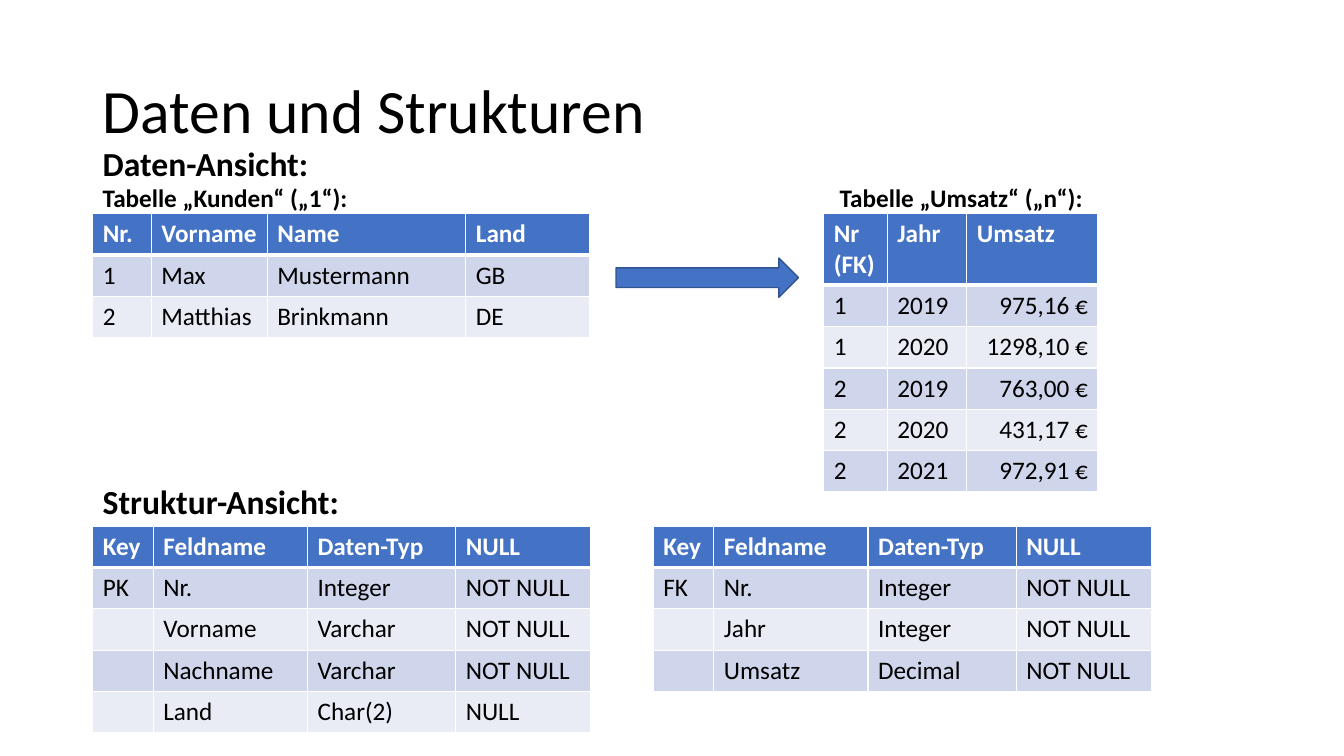
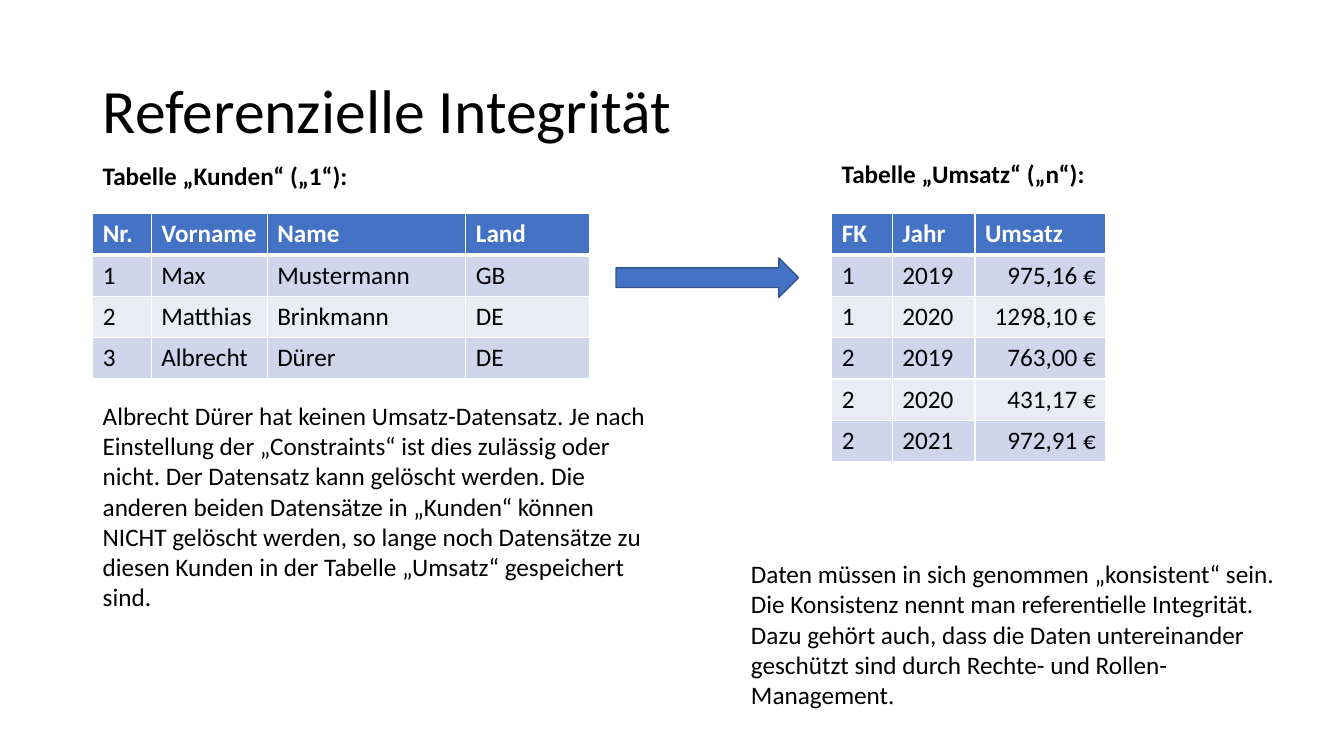
from lxml import etree
from pptx import Presentation
from pptx import util as u
from pptx.dml.color import RGBColor
from pptx.enum import shapes, text
from pptx.oxml import ns

BLACK = RGBColor(0x00, 0x00, 0x00)
WHITE = RGBColor(0xFF, 0xFF, 0xFF)
BLUE = RGBColor(0x44, 0x72, 0xC4)
DARK_BLUE = RGBColor(0x32, 0x54, 0x91)
BAND_DARK = RGBColor(0xCF, 0xD5, 0xEA)
BAND_LIGHT = RGBColor(0xE9, 0xEB, 0xF5)

FONT = "Calibri"
BODY_SIZE = 18
HEADING_SIZE = 24
TITLE_SIZE = 44
LEFT = 0.92
DATA_TOP = 2.12
STRUCTURE_TOP = 5.22
ROW_HEIGHT = 0.41

CUSTOMER_COLUMNS = [0.58, 1.15, 1.97, 1.23]
STRUCTURE_COLUMNS = [0.6, 1.53, 1.47, 1.34]
CUSTOMER_LABEL = "Tabelle „Kunden“ („1“):"
SALES_LABEL = "Tabelle „Umsatz“ („n“):"

CUSTOMERS = [
    ["Nr.", "Vorname", "Name", "Land"],
    ["1", "Max", "Mustermann", "GB"],
    ["2", "Matthias", "Brinkmann", "DE"],
]
ALBRECHT = ["3", "Albrecht", "Dürer", "DE"]
SALES = [
    ["1", "2019", "975,16 €"],
    ["1", "2020", "1298,10 €"],
    ["2", "2019", "763,00 €"],
    ["2", "2020", "431,17 €"],
    ["2", "2021", "972,91 €"],
]
STRUCTURE_HEADER = ["Key", "Feldname", "Daten-Typ", "NULL"]
CUSTOMER_FIELDS = [
    STRUCTURE_HEADER,
    ["PK", "Nr.", "Integer", "NOT NULL"],
    ["", "Vorname", "Varchar", "NOT NULL"],
    ["", "Nachname", "Varchar", "NOT NULL"],
    ["", "Land", "Char(2)", "NULL"],
]
SALES_FIELDS = [
    STRUCTURE_HEADER,
    ["FK", "Nr.", "Integer", "NOT NULL"],
    ["", "Jahr", "Integer", "NOT NULL"],
    ["", "Umsatz", "Decimal", "NOT NULL"],
]
DELETION_NOTE = [
    "Albrecht Dürer hat keinen Umsatz-Datensatz. Je nach Einstellung der "
    "„Constraints“ ist dies zulässig oder nicht. Der Datensatz kann gelöscht "
    "werden. Die anderen beiden Datensätze in „Kunden“ können NICHT gelöscht "
    "werden, so lange noch Datensätze zu diesen Kunden in der Tabelle "
    "„Umsatz“ gespeichert sind.",
]
CONSISTENCY_NOTE = [
    "Daten müssen in sich genommen „konsistent“ sein.",
    "Die Konsistenz nennt man referentielle Integrität.",
    "Dazu gehört auch, dass die Daten untereinander geschützt sind durch "
    "Rechte- und Rollen-Management.",
]


def box(*lengths):
    return [u.Inches(length) for length in lengths]


def style(paragraph, size=BODY_SIZE, color=BLACK, bold=False):
    font = paragraph.font
    font.name = FONT
    font.size = u.Pt(size)
    font.color.rgb = color
    font.bold = bold


def add_titled_slide(deck, title):
    slide = deck.slides.add_slide(deck.slide_layouts[5])
    heading = slide.shapes.title
    heading.left, heading.top, heading.width, heading.height = box(LEFT, 0.4, 11.5, 1.45)
    frame = heading.text_frame
    frame.text = title
    frame.vertical_anchor = text.MSO_ANCHOR.MIDDLE
    paragraph = frame.paragraphs[0]
    paragraph.alignment = text.PP_ALIGN.LEFT
    paragraph.line_spacing = 0.9
    style(paragraph, TITLE_SIZE)
    return slide


def add_text(slide, lines, place, size=BODY_SIZE, bold=False, wrap=False):
    frame = slide.shapes.add_textbox(*box(*place)).text_frame
    frame.word_wrap = wrap
    frame.auto_size = text.MSO_AUTO_SIZE.SHAPE_TO_FIT_TEXT
    frame.text = "\n".join(lines)
    for paragraph in frame.paragraphs:
        style(paragraph, size, bold=bold)


def add_label(slide, label, left, top, width):
    add_text(slide, [label], (left, top, width, 0.4), bold=True)


def add_view_heading(slide, heading, top, width):
    add_text(slide, [heading], (LEFT, top, width, 0.5), HEADING_SIZE, True)


def set_borders(cell, row):
    properties = cell._tc.get_or_add_tcPr()
    widths = {"L": 1, "R": 1, "T": 3 if row == 1 else 1, "B": 3 if row == 0 else 1}
    for side, width in widths.items():
        line = etree.SubElement(properties, ns.qn(f"a:ln{side}"), w=str(u.Pt(width)))
        fill = etree.SubElement(line, ns.qn("a:solidFill"))
        etree.SubElement(fill, ns.qn("a:srgbClr"), val=str(WHITE))


def add_data_table(slide, rows, left, top, columns, right_column=None):
    place = box(left, top, sum(columns), ROW_HEIGHT * len(rows))
    table = slide.shapes.add_table(len(rows), len(columns), *place).table
    for column, width in zip(table.columns, columns):
        column.width = u.Inches(width)
    for r, values in enumerate(rows):
        table.rows[r].height = u.Inches(ROW_HEIGHT)
        header = r == 0
        background = BLUE if header else BAND_DARK if r % 2 else BAND_LIGHT
        for c, value in enumerate(values):
            cell = table.cell(r, c)
            set_borders(cell, r)
            cell.fill.solid()
            cell.fill.fore_color.rgb = background
            cell.text = value
            paragraph = cell.text_frame.paragraphs[0]
            style(paragraph, color=WHITE if header else BLACK, bold=header)
            if c == right_column and not header:
                paragraph.alignment = text.PP_ALIGN.RIGHT


def add_customers(slide, rows):
    add_data_table(slide, rows, LEFT, DATA_TOP, CUSTOMER_COLUMNS)


def add_sales(slide, key_name, left, columns):
    rows = [[key_name, "Jahr", "Umsatz"]] + SALES
    add_data_table(slide, rows, left, DATA_TOP, columns, right_column=2)


def add_relation_arrow(slide):
    arrow = slide.shapes.add_shape(
        shapes.MSO_SHAPE.RIGHT_ARROW, *box(6.11, 2.56, 1.81, 0.39))
    arrow.shadow.inherit = False
    arrow.fill.solid()
    arrow.fill.fore_color.rgb = BLUE
    arrow.line.color.rgb = DARK_BLUE
    arrow.line.width = u.Pt(1)


def build_structures(deck):
    slide = add_titled_slide(deck, "Daten und Strukturen")
    add_customers(slide, CUSTOMERS)
    add_sales(slide, "Nr (FK)", 8.17, [0.63, 0.79, 1.3])
    add_relation_arrow(slide)
    add_label(slide, CUSTOMER_LABEL, LEFT, 1.76, 2.65)
    add_label(slide, SALES_LABEL, 8.23, 1.76, 2.64)
    add_view_heading(slide, "Daten-Ansicht:", 1.37, 2.27)
    add_view_heading(slide, "Struktur-Ansicht:", 4.72, 2.59)
    for fields, left in ((CUSTOMER_FIELDS, LEFT), (SALES_FIELDS, 6.48)):
        add_data_table(slide, fields, left, STRUCTURE_TOP, STRUCTURE_COLUMNS)


def build_integrity(deck):
    slide = add_titled_slide(deck, "Referenzielle Integrität")
    add_customers(slide, CUSTOMERS + [ALBRECHT])
    add_sales(slide, "FK", 8.25, [0.6, 0.82, 1.3])
    add_relation_arrow(slide)
    add_text(slide, CONSISTENCY_NOTE, (7.35, 5.49, 5.61, 1.62), wrap=True)
    add_label(slide, CUSTOMER_LABEL, LEFT, 1.54, 2.65)
    add_label(slide, SALES_LABEL, 8.25, 1.52, 2.64)
    add_text(slide, DELETION_NOTE, (LEFT, 3.92, 5.61, 2.22), wrap=True)


def main():
    deck = Presentation()
    deck.slide_width, deck.slide_height = box(13.33, 7.5)
    build_structures(deck)
    build_integrity(deck)
    deck.save("out.pptx")


if __name__ == "__main__":
    main()
